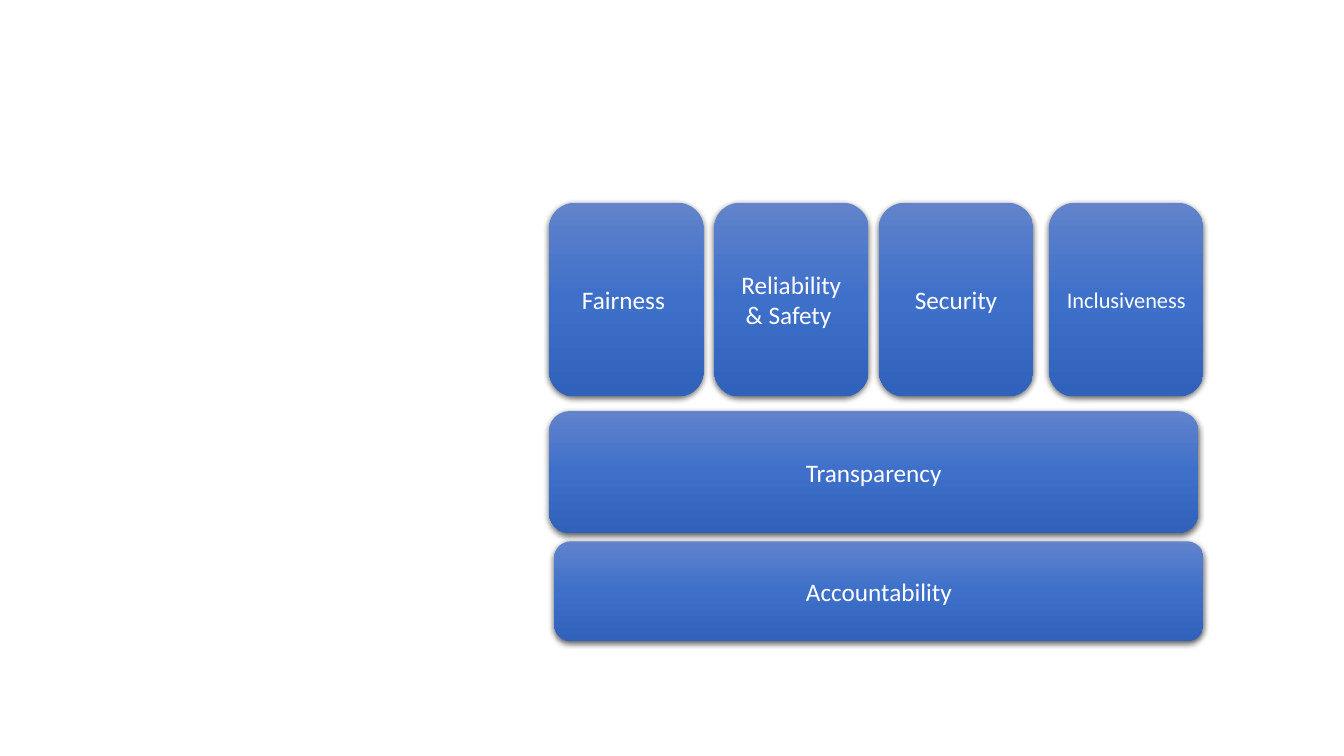
from lxml import etree
from pptx import Presentation
from pptx.dml.color import RGBColor
from pptx.enum.shapes import MSO_SHAPE
from pptx.enum.text import MSO_ANCHOR, PP_ALIGN
from pptx.oxml.ns import qn
from pptx.util import Cm, Pt

ROUND = MSO_SHAPE.ROUNDED_RECTANGLE
MIDDLE = MSO_ANCHOR.MIDDLE
CENTER = PP_ALIGN.CENTER
WHITE = RGBColor(0xFF, 0xFF, 0xFF)
BLACK = RGBColor(0x00, 0x00, 0x00)
LIGHT = RGBColor(0x61, 0x83, 0xCB)
MID = RGBColor(0x3E, 0x70, 0xCA)
DARK = RGBColor(0x30, 0x62, 0xBB)
FONT = "Calibri"

PILLARS = [
    ("Fairness ", 0, 18),
    ("Reliability & Safety ", 4.16, 18),
    ("Security", 8.31, 18),
    ("Inclusiveness", 12.6, 16),
]
BARS = [
    ("Transparency", 0, 0, 3.07),
    ("Accountability", 0.13, 3.28, 2.51),
]


def add_node(parent, tag, **attrs):
    return etree.SubElement(parent, qn(tag), {k: str(v) for k, v in attrs.items()})


def shade(block):
    block.line.fill.background()
    block.fill.gradient()
    block.fill.gradient_angle = 270
    stops = block._element.spPr.find(qn("a:gradFill")).find(qn("a:gsLst"))
    for stop in list(stops):
        stops.remove(stop)
    for pos, color in ((0, LIGHT), (50000, MID), (100000, DARK)):
        add_node(add_node(stops, "a:gs", pos=pos), "a:srgbClr", val=color)


def add_shadow(block):
    block.shadow.inherit = False
    effects = block._element.spPr.find(qn("a:effectLst"))
    shadow = add_node(effects, "a:outerShdw", blurRad=Pt(4.5), dist=Pt(1.5),
                      dir=5400000, algn="ctr", rotWithShape=0)
    add_node(add_node(shadow, "a:srgbClr", val=BLACK), "a:alpha", val=63000)


def add_block(slide, text, left, top, width, height, size=18):
    block = slide.shapes.add_shape(ROUND, Cm(left), Cm(top), Cm(width), Cm(height))
    shade(block)
    add_shadow(block)
    frame = block.text_frame
    frame.text = text
    frame.word_wrap = True
    frame.vertical_anchor = MIDDLE
    para = frame.paragraphs[0]
    para.alignment = CENTER
    font = para.runs[0].font
    font.name = FONT
    font.size = Pt(size)
    font.color.rgb = WHITE


def add_pillars(slide, left, top, width, height):
    for text, shift, size in PILLARS:
        add_block(slide, text, left + shift, top, width, height, size)


def add_bars(slide, left, top, width):
    for text, shift, drop, height in BARS:
        add_block(slide, text, left + shift, top + drop, width, height)


def main():
    deck = Presentation()
    deck.slide_width = Cm(33.87)
    deck.slide_height = Cm(19.05)
    slide = deck.slides.add_slide(deck.slide_layouts[6])
    add_pillars(slide, 13.84, 5.11, 3.89, 4.88)
    add_bars(slide, 13.84, 10.36, 16.36)
    deck.save("out.pptx")


if __name__ == "__main__":
    main()
